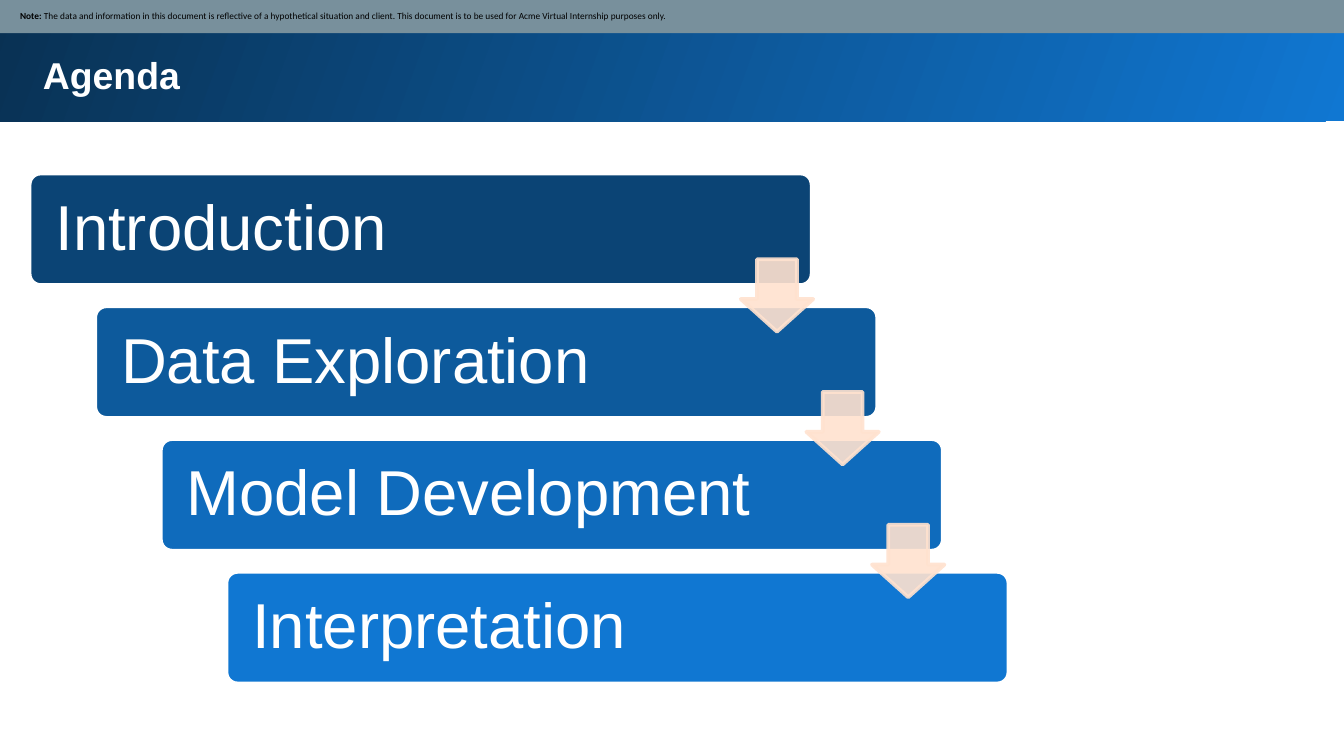
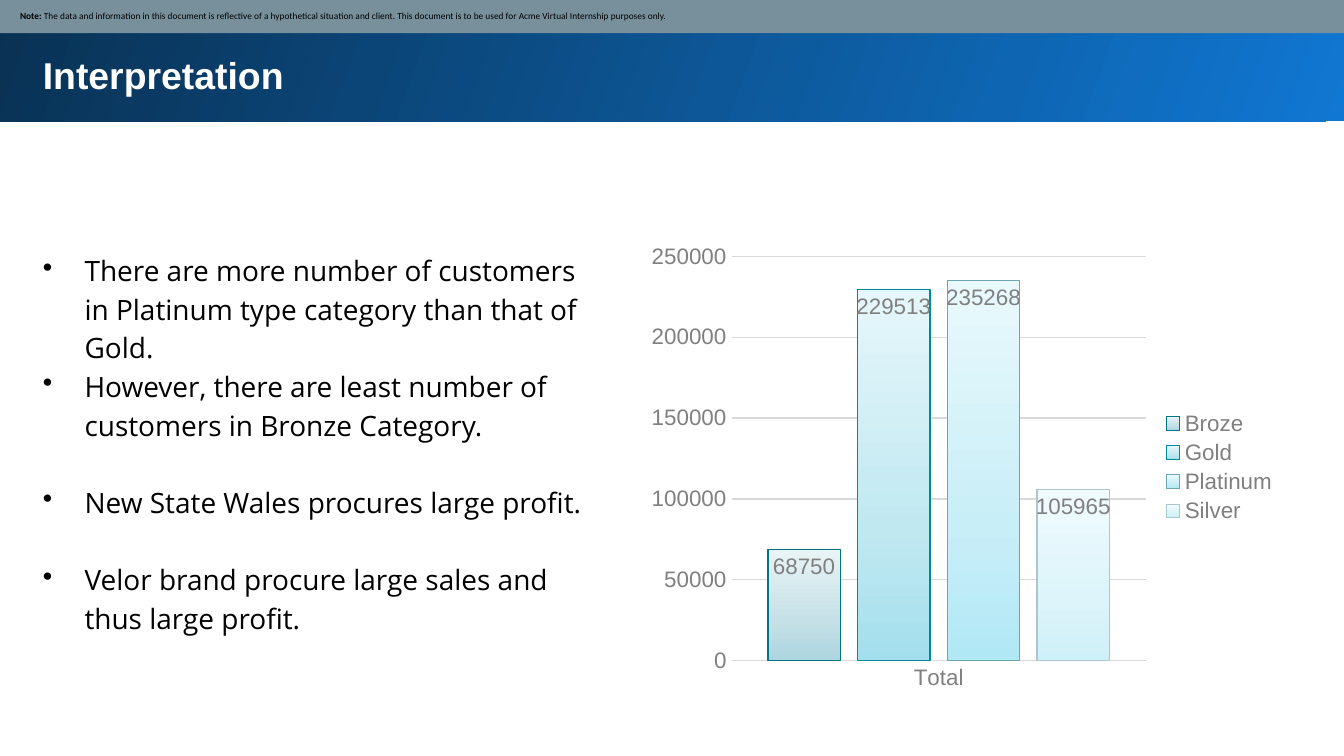
from lxml import etree
from pptx import Presentation
from pptx import util as u
from pptx.chart.data import CategoryChartData
from pptx.dml.color import RGBColor
from pptx.enum import chart as charts, shapes, text
from pptx.oxml.ns import qn

# Shared colours and fonts
WHITE = RGBColor(0xFF, 0xFF, 0xFF)
BLACK = RGBColor(0x00, 0x00, 0x00)
BLUE = RGBColor(0x10, 0x77, 0xD2)
NAVY = RGBColor(0x09, 0x31, 0x53)
SLATE = RGBColor(0x78, 0x90, 0x9C)
PEACH = RGBColor(0xFF, 0xE2, 0xCF)
GREY = RGBColor(0x80, 0x80, 0x80)
GRID = RGBColor(0xD9, 0xD9, 0xD9)
HEADING, NOTE_FONT, BODY = "Arial", "Calibri", "Open Sans"

NOTE = ("The data and information in this document is reflective of a hypothetical "
        "situation and client. This document is to be used for Acme Virtual "
        "Internship purposes only.")

AGENDA = [
    ("Introduction", RGBColor(0x0B, 0x44, 0x75)),
    ("Data Exploration", RGBColor(0x0D, 0x5A, 0x9C)),
    ("Model Development", RGBColor(0x0F, 0x6B, 0xBC)),
    ("Interpretation", BLUE),
]

# Finding and the space before it in points (one line of text, or none)
LINE = 20.7
FINDINGS = [
    ("There are more number of customers in Platinum type category than that of Gold.", 0),
    ("However, there are least number of customers in Bronze Category.", 0),
    ("New State Wales procures large profit.", LINE),
    ("Velor brand procure large sales and thus large profit.", LINE),
]

# Customer class, value, outline, gradient from bottom to top
CLASSES = [
    ("Broze", 68750, "007581", ("ACD5DF", "C5E0E7", "E9F4F6")),
    ("Gold", 229513, "008A99", ("A4DFEE", "C0E8F1", "E6F7FB")),
    ("Platinum", 235268, "6AA7B3", ("B1E8F6", "C8EEF7", "E9F9FD")),
    ("Silver", 105965, "ABC7CD", ("CEF0F8", "DCF4FA", "F0FBFE")),
]


def style_font(font, name, size, color, bold=False):
    font.name, font.size, font.bold = name, u.Pt(size), bold
    font.color.rgb = color


def write(paragraph, content, font=HEADING, size=12, color=BLACK, bold=False,
          spacing=None, before=None, bullet_indent=None):
    """Append a run to the paragraph and format both."""
    run = paragraph.add_run()
    run.text = content
    style_font(run.font, font, size, color, bold)
    paragraph.alignment = text.PP_ALIGN.LEFT
    if spacing:
        paragraph.line_spacing = spacing
    if before:
        paragraph.space_before = u.Pt(before)
    if bullet_indent:
        props = paragraph._p.get_or_add_pPr()
        props.set("marL", str(bullet_indent))
        props.set("indent", str(-bullet_indent))
        etree.SubElement(props, qn("a:buChar")).set("char", "\u2022")


def set_frame(frame, left, top, right, bottom, anchor=text.MSO_ANCHOR.TOP):
    frame.word_wrap = True
    frame.vertical_anchor = anchor
    frame.margin_left, frame.margin_top = u.Cm(left), u.Cm(top)
    frame.margin_right, frame.margin_bottom = u.Cm(right), u.Cm(bottom)


def set_gradient(fill, props, stops, angle):
    """Fill with (percent, colour) stops; the angle runs anticlockwise."""
    fill.gradient()
    fill.gradient_angle = angle
    stop_list = props.find(".//" + qn("a:gsLst"))
    for old_stop in list(stop_list):
        stop_list.remove(old_stop)
    for percent, color in stops:
        stop = etree.SubElement(stop_list, qn("a:gs"), pos=str(percent * 1000))
        etree.SubElement(stop, qn("a:srgbClr"), val=str(color))


def add_block(slide, kind, left, top, width, height, fill=None, line=None):
    block = slide.shapes.add_shape(kind, u.Cm(left), u.Cm(top), u.Cm(width), u.Cm(height))
    block.shadow.inherit = False
    if fill is not None:
        block.fill.solid()
        block.fill.fore_color.rgb = fill
    if line is None:
        block.line.fill.background()
    else:
        block.line.color.rgb = line
        block.line.width = u.Pt(2)
    return block


def add_slide(deck, heading):
    """Title-only slide with the blue band, the title and the note bar."""
    slide = deck.slides.add_slide(deck.slide_layouts[5])
    band = add_block(slide, shapes.MSO_SHAPE.RECTANGLE, -0.05, -0.05, 25.53, 2.34)
    set_gradient(band.fill, band._element.spPr, [(0, BLUE), (100, NAVY)], 160)
    slide.shapes._spTree.insert(2, band._element)  # behind the title

    title = slide.shapes.title
    title.left, title.top = u.Cm(0.56), u.Cm(0.74)
    title.width, title.height = u.Cm(23.8), u.Cm(1.3)
    set_frame(title.text_frame, 0.25, 0.25, 0.25, 0.25)
    title.text_frame.auto_size = text.MSO_AUTO_SIZE.SHAPE_TO_FIT_TEXT
    write(title.text_frame.paragraphs[0], heading, size=20, color=WHITE, bold=True)

    note_bar = add_block(slide, shapes.MSO_SHAPE.RECTANGLE, -0.03, -0.03, 25.48, 0.66, SLATE)
    set_frame(note_bar.text_frame, 0.41, 0.13, 0.13, 0.13, text.MSO_ANCHOR.MIDDLE)
    note = note_bar.text_frame.paragraphs[0]
    write(note, "Note: ", font=NOTE_FONT, size=5, bold=True)
    write(note, NOTE, font=NOTE_FONT, size=5)
    return slide


def add_steps(slide):
    """Staircase of agenda steps, with an arrow from each to the next."""
    step_x, step_y = 1.24, 2.51
    for i, (label, color) in enumerate(AGENDA):
        step = add_block(slide, shapes.MSO_SHAPE.ROUNDED_RECTANGLE, 0.56 + i * step_x,
                         3.28 + i * step_y, 14.78, 2.11, color, WHITE)
        step.adjustments[0] = 0.1
        set_frame(step.text_frame, 0.43, 0.38, 0.36, 0.36, text.MSO_ANCHOR.MIDDLE)
        write(step.text_frame.paragraphs[0], label, size=34, color=WHITE, spacing=0.9)
    for i in range(len(AGENDA) - 1):
        arrow = add_block(slide, shapes.MSO_SHAPE.DOWN_ARROW, 14 + i * step_x,
                          4.9 + i * step_y, 1.37, 1.37, PEACH, PEACH)
        arrow.adjustments[0], arrow.adjustments[1] = 0.55, 0.45
        for color in arrow._element.spPr.iter(qn("a:srgbClr")):
            etree.SubElement(color, qn("a:alpha"), val="90000")


def add_findings(slide):
    findings = slide.shapes.add_textbox(u.Cm(0.56), u.Cm(4.45), u.Cm(10.82), u.Cm(7.85))
    frame = findings.text_frame
    set_frame(frame, 0.25, 0.25, 0.25, 0.25)
    for i, (finding, before) in enumerate(FINDINGS):
        paragraph = frame.add_paragraph() if i else frame.paragraphs[0]
        write(paragraph, finding, font=BODY, size=15, spacing=1.15, before=before,
              bullet_indent=u.Cm(0.79))


def add_class_chart(slide):
    data = CategoryChartData()
    data.categories = ["Total"]
    for name, value, *_ in CLASSES:
        data.add_series(name, [value])
    chart = slide.shapes.add_chart(charts.XL_CHART_TYPE.COLUMN_CLUSTERED, u.Cm(12.07),
                                   u.Cm(4.45), u.Cm(12.32), u.Cm(8.76), data).chart
    chart.has_title = False
    style_font(chart.font, HEADING, 10, BLACK)

    # Columns
    plot = chart.plots[0]
    plot.gap_width, plot.overlap, plot.vary_by_categories = 100, -24, False
    for series, (_, _, outline, shades) in zip(plot.series, CLASSES):
        props = series._element.get_or_add_spPr()
        set_gradient(series.format.fill, props, zip((0, 35, 100), shades), 90)
        series.format.line.color.rgb = RGBColor.from_string(outline)
        series.format.line.width = u.Pt(0.75)
        labels = series.data_labels
        labels.show_value = True
        labels.position = charts.XL_LABEL_POSITION.INSIDE_END
        style_font(labels.font, HEADING, 12, GREY)

    # Axes and grid
    for axis in (chart.category_axis, chart.value_axis):
        axis.major_tick_mark = axis.minor_tick_mark = charts.XL_TICK_MARK.NONE
        style_font(axis.tick_labels.font, HEADING, 12, GREY)
    chart.category_axis.has_major_gridlines = False
    chart.value_axis.has_major_gridlines = True
    chart.value_axis.format.line.fill.background()
    for line in (chart.category_axis.format.line,
                 chart.value_axis.major_gridlines.format.line):
        line.color.rgb = GRID
        line.width = u.Pt(0.75)

    # Legend
    chart.has_legend = True
    chart.legend.position = charts.XL_LEGEND_POSITION.RIGHT
    chart.legend.include_in_layout = False
    style_font(chart.legend.font, HEADING, 12, GREY)


def main():
    deck = Presentation()
    deck.slide_width, deck.slide_height = u.Cm(25.4), u.Cm(14.29)

    add_steps(add_slide(deck, "Agenda"))

    interpretation = add_slide(deck, "Interpretation")
    add_findings(interpretation)
    add_class_chart(interpretation)

    deck.save("out.pptx")


main()
